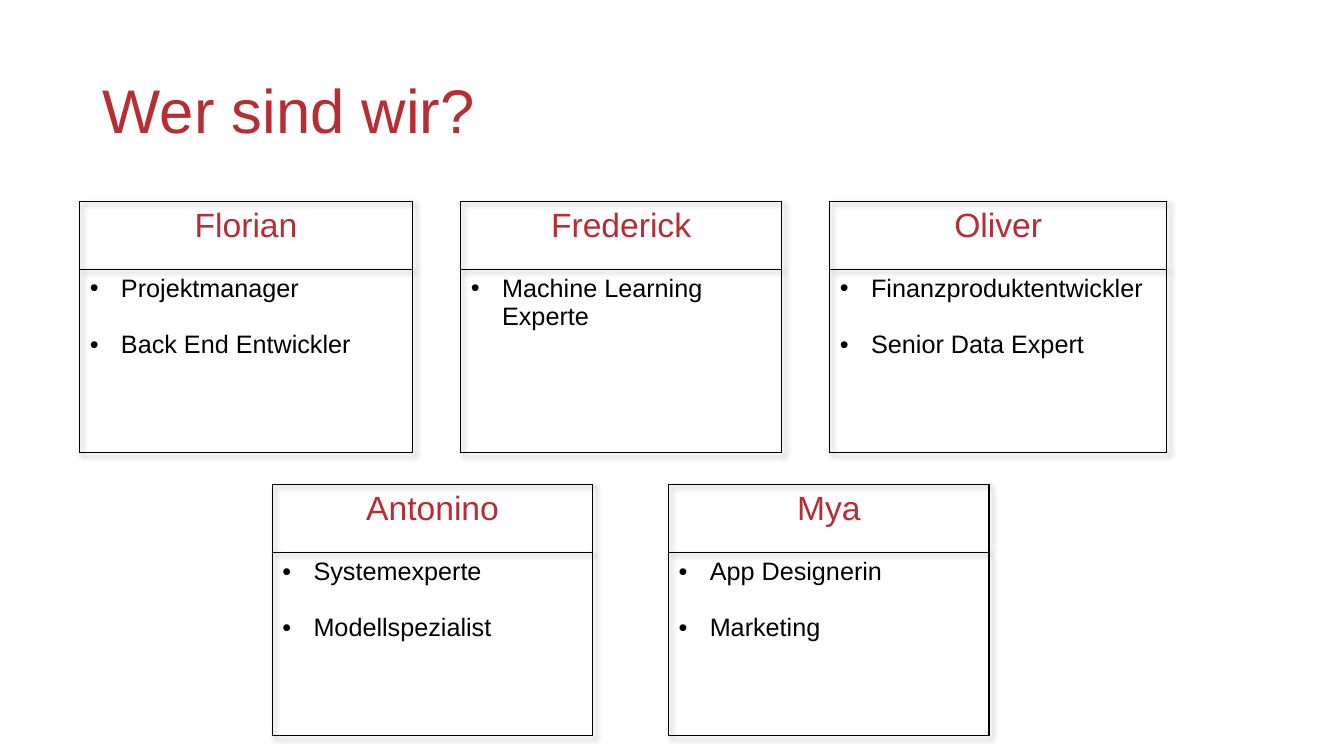
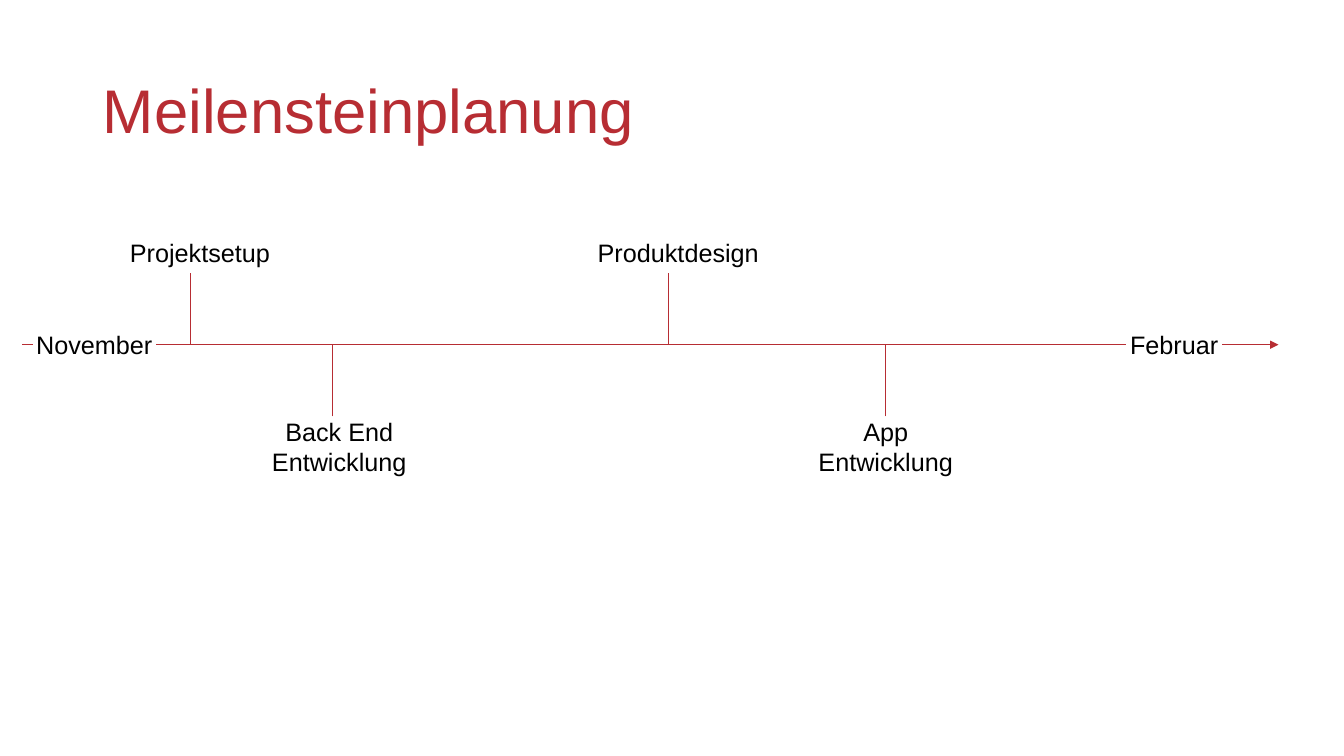
from lxml import etree
from pptx import Presentation
from pptx.dml.color import RGBColor
from pptx.enum.shapes import MSO_CONNECTOR, MSO_SHAPE
from pptx.enum.text import MSO_ANCHOR, PP_ALIGN
from pptx.oxml import parse_xml
from pptx.oxml.ns import nsdecls, qn
from pptx.util import Inches, Pt

STRAIGHT, RECTANGLE = MSO_CONNECTOR.STRAIGHT, MSO_SHAPE.RECTANGLE
LEFT, CENTER, MIDDLE = PP_ALIGN.LEFT, PP_ALIGN.CENTER, MSO_ANCHOR.MIDDLE

RED = RGBColor(0xB7, 0x2D, 0x33)
BLACK = RGBColor(0x00, 0x00, 0x00)
WHITE = RGBColor(0xFF, 0xFF, 0xFF)

TITLE_FONT = {"name": "Arial", "size": Pt(44), "bold": False}
NAME_FONT = {"name": "Arial", "size": Pt(24), "bold": False}
TEXT_FONT = {"name": "Arial", "size": Pt(18), "bold": False}

TITLE_BOX = (0.92, 0.4, 11.5, 1.45)
NAME_HEIGHT, ROLES_HEIGHT = 0.67, 1.82
ROW_PITCH = 2.81
BULLET_INDENT = Inches(0.31)
STEM, LABEL_WIDTH, LABEL_HEIGHT = 0.71, 1.97, 0.4

TEAM_ROWS = [
    (0.79, 0.48, [
        ("Florian", 3.3, ["Projektmanager", "Back End Entwickler"]),
        ("Frederick", 3.18, ["Machine Learning Experte"]),
        ("Oliver", 3.34, ["Finanzproduktentwickler", "Senior Data Expert"]),
    ]),
    (2.7, 0.75, [
        ("Antonino", 3.18, ["Systemexperte", "Modellspezialist"]),
        ("Mya", 3.18, ["App Designerin", "Marketing"]),
    ]),
]
MILESTONES_ABOVE = [("Projektsetup", 1.67, 0.97), ("Produktdesign", 6.41, 5.61)]
MILESTONES_BELOW = [("Back End Entwicklung", 3.08, 2.16),
                    ("App Entwicklung", 8.56, 7.58)]
MONTHS = [("November", 0.11, 1.21, 0.22), ("Februar", 10.96, 0.93, 0.31)]


def write(paragraph, text, font, color, align=LEFT):
    """Put one formatted run into a paragraph."""
    paragraph.alignment = align
    run = paragraph.add_run()
    run.text = text
    for attribute, value in font.items():
        setattr(run.font, attribute, value)
    run.font.color.rgb = color


def add_titled_slide(deck, heading):
    """Add a slide with the shared title style."""
    slide = deck.slides.add_slide(deck.slide_layouts[5])
    title = slide.shapes.title
    title.left, title.top, title.width, title.height = map(Inches, TITLE_BOX)
    title.text_frame.vertical_anchor = MIDDLE
    paragraph = title.text_frame.paragraphs[0]
    paragraph.line_spacing = 0.9
    write(paragraph, heading, TITLE_FONT, RED)
    return slide


def outline_cell(cell):
    """Clear the cell's fill and give it black borders."""
    cell.fill.background()
    properties = cell._tc.get_or_add_tcPr()
    for index, side in enumerate(("lnL", "lnR", "lnT", "lnB")):
        properties.insert(index, parse_xml(
            f'<a:{side} {nsdecls("a")} w="12700"><a:solidFill>'
            f'<a:srgbClr val="{BLACK}"/></a:solidFill></a:{side}>'))


def add_bullet(paragraph):
    """Give a paragraph a hanging round bullet."""
    properties = paragraph._p.get_or_add_pPr()
    properties.set("marL", str(BULLET_INDENT))
    properties.set("indent", str(-BULLET_INDENT))
    font = etree.SubElement(properties, qn("a:buFont"))
    font.set("typeface", "Arial")
    etree.SubElement(properties, qn("a:buChar")).set("char", "•")


def add_shadow(table):
    """Give a table a soft shadow to the lower right."""
    table._tbl.tblPr.insert(0, parse_xml(
        f'<a:effectLst {nsdecls("a")}><a:outerShdw blurRad="50800" '
        'dist="38100" dir="2700000" algn="tl" rotWithShape="0">'
        f'<a:srgbClr val="{BLACK}"><a:alpha val="40000"/></a:srgbClr>'
        '</a:outerShdw></a:effectLst>'))


def add_member_card(slide, box, name, roles):
    """Draw a team member's name above a list of roles."""
    card = slide.shapes.add_table(2, 1, *map(Inches, box)).table
    card.first_row = card.horz_banding = False
    add_shadow(card)
    for row, height in zip(card.rows, (NAME_HEIGHT, ROLES_HEIGHT)):
        row.height = Inches(height)
    name_cell, roles_cell = card.cell(0, 0), card.cell(1, 0)
    outline_cell(name_cell)
    outline_cell(roles_cell)
    write(name_cell.text_frame.paragraphs[0], name, NAME_FONT, RED, CENTER)
    frame = roles_cell.text_frame
    for index, role in enumerate(roles):
        paragraph = frame.add_paragraph() if index else frame.paragraphs[0]
        if index:
            paragraph.space_before = Pt(20)
        write(paragraph, role, TEXT_FONT, BLACK)
        add_bullet(paragraph)


def add_team_row(slide, left, top, gap, members):
    """Set member cards side by side with equal gaps."""
    for name, width, roles in members:
        box = (left, top, width, NAME_HEIGHT + ROLES_HEIGHT)
        add_member_card(slide, box, name, roles)
        left += width + gap


def add_line(slide, start, end, arrow=False):
    """Draw a thin red line, with an arrowhead at its end if asked."""
    line = slide.shapes.add_connector(STRAIGHT, *map(Inches, start + end))
    line.line.color.rgb = RED
    line.line.width = Pt(0.75)
    properties = line._element.spPr
    if arrow:
        outline = properties.find(qn("a:ln"))
        etree.SubElement(outline, qn("a:tailEnd")).set("type", "triangle")
    etree.SubElement(properties, qn("a:effectLst"))


def add_label(slide, box, text, align=LEFT, wrap=True):
    """Place a plain text label."""
    frame = slide.shapes.add_textbox(*map(Inches, box)).text_frame
    frame.word_wrap = wrap
    write(frame.paragraphs[0], text, TEXT_FONT, BLACK, align)


def add_month(slide, box, month):
    """Write a month over a white patch that interrupts the axis."""
    left, top, width, height = box
    patch = slide.shapes.add_shape(RECTANGLE, *map(Inches, box))
    patch.shadow.inherit = False
    patch.fill.solid()
    patch.fill.fore_color.rgb = WHITE
    patch.line.color.rgb = WHITE
    patch.line.width = Pt(1)
    label_box = (left - 0.07, top - 0.1, width + 0.16, LABEL_HEIGHT)
    add_label(slide, label_box, month, wrap=False)


def add_timeline(slide, left, axis, width):
    """Draw the time axis with its milestones and months."""
    add_line(slide, (left, axis), (left + width, axis), arrow=True)
    for text, stem, label in MILESTONES_ABOVE:
        add_line(slide, (left + stem, axis), (left + stem, axis - STEM))
        box = (left + label, axis - STEM - LABEL_HEIGHT, LABEL_WIDTH, LABEL_HEIGHT)
        add_label(slide, box, text)
    for text, stem, label in MILESTONES_BELOW:
        add_line(slide, (left + stem, axis + STEM), (left + stem, axis))
        box = (left + label, axis + 0.66, LABEL_WIDTH, 0.71)
        add_label(slide, box, text, CENTER)
    for month, offset, patch_width, patch_height in MONTHS:
        box = (left + offset, axis - 0.1, patch_width, patch_height)
        add_month(slide, box, month)


def main():
    """Build and save the deck."""
    deck = Presentation()
    deck.slide_width, deck.slide_height = Inches(13.33), Inches(7.5)
    team = add_titled_slide(deck, "Wer sind wir?")
    for index, (left, gap, members) in enumerate(TEAM_ROWS):
        add_team_row(team, left, 2 + index * ROW_PITCH, gap, members)
    plan = add_titled_slide(deck, "Meilensteinplanung")
    add_timeline(plan, 0.22, 3.42, 12.46)
    deck.save("out.pptx")


if __name__ == "__main__":
    main()
